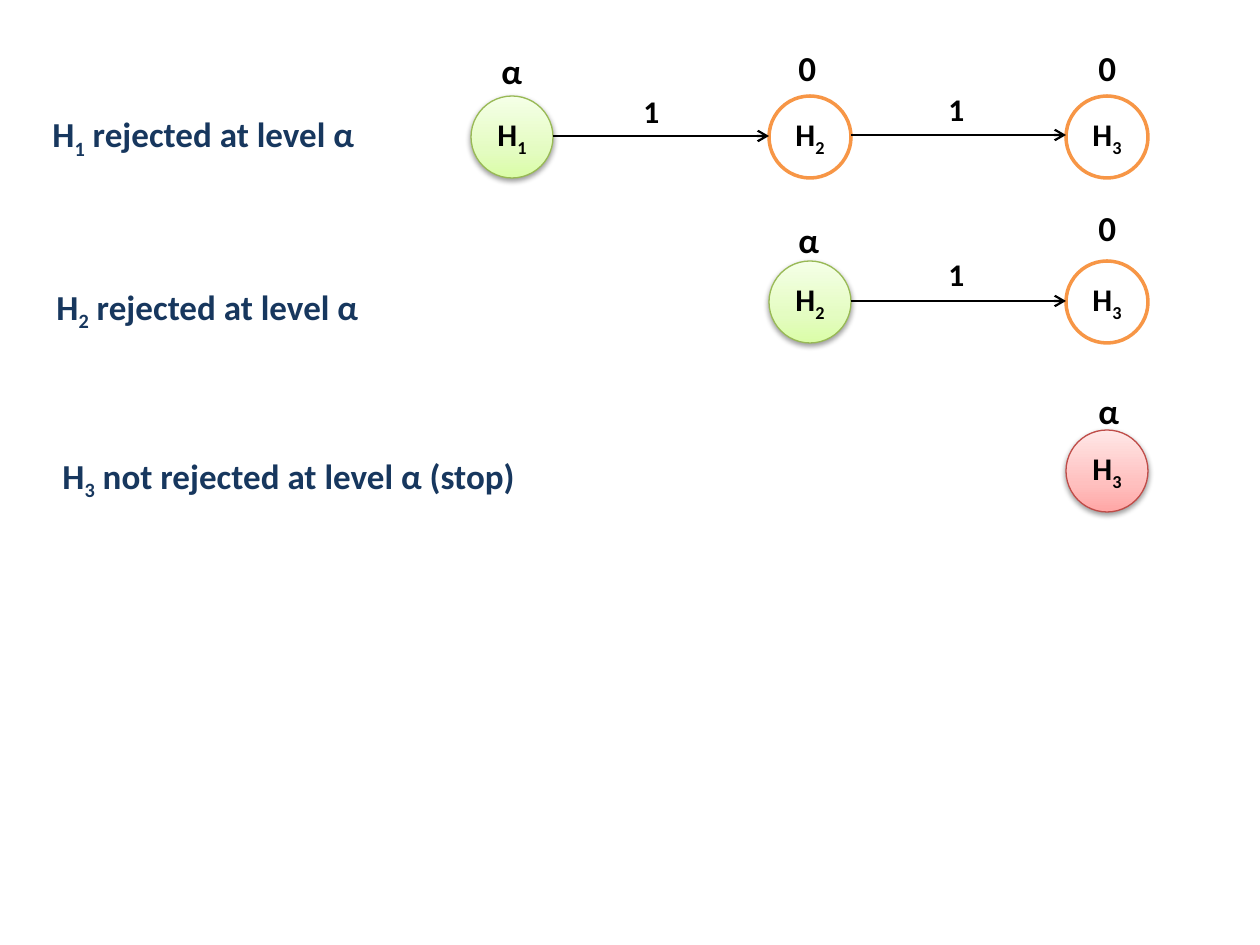
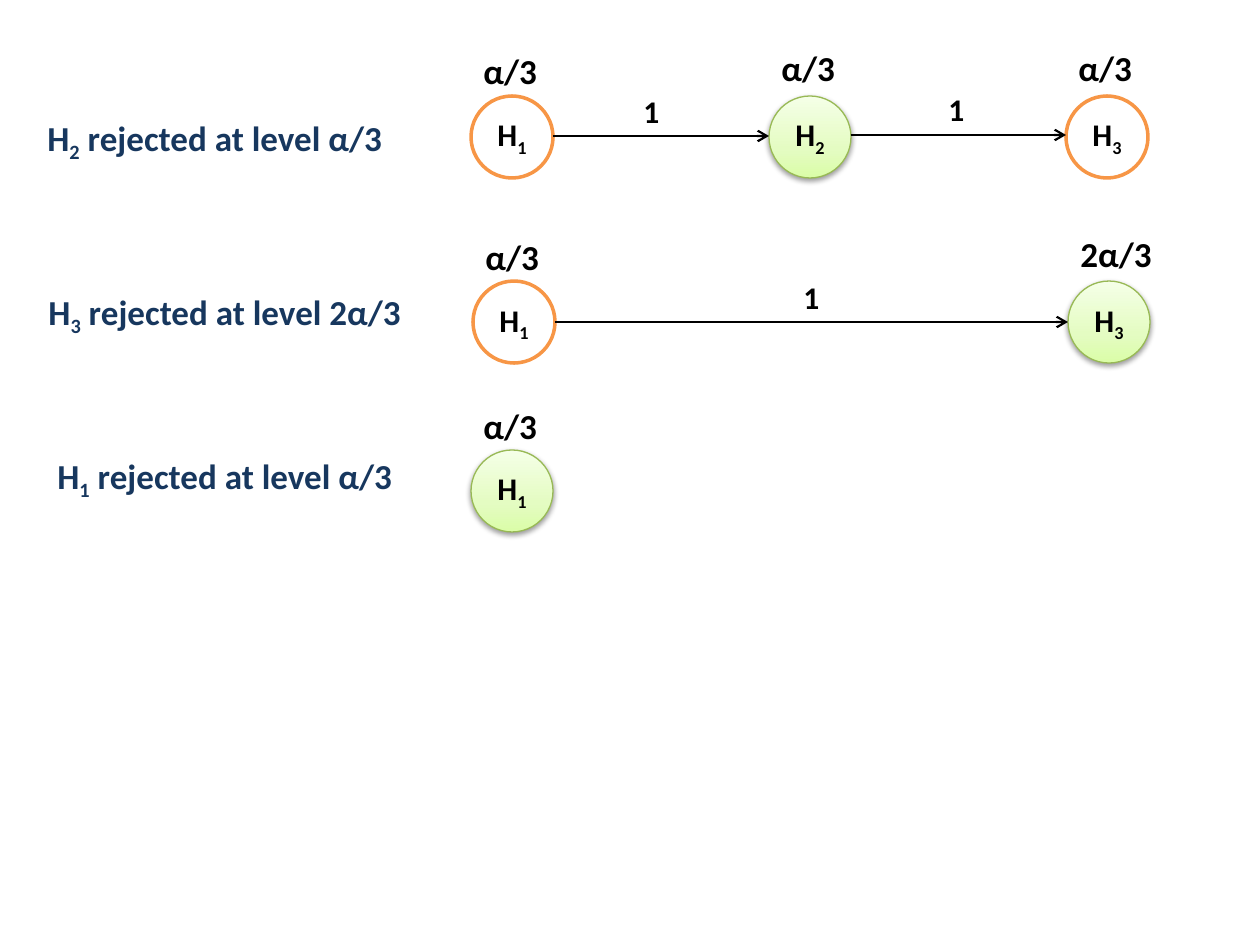
from copy import deepcopy

from lxml.etree import SubElement
from pptx import Presentation
from pptx.dml.color import RGBColor
from pptx.enum.shapes import MSO_CONNECTOR, MSO_SHAPE
from pptx.enum.text import MSO_ANCHOR, MSO_AUTO_SIZE, PP_ALIGN
from pptx.oxml.ns import qn
from pptx.util import Pt

PX = 914400 / 126
COLORS = {"ink": "000000", "statement": "17375E", "paper": "FFFFFF", "open": "F79646",
          "rejected": "98B955", "retained": "BF4C48"}
GRADIENTS = {"rejected": ["DAFDA7", "E4FCC2", "F5FFE7"],
             "retained": ["FFA6A5", "FFC0BF", "FFE7E7"]}
GRADIENT_STOPS = [0, 0.35, 1]
FONT = "Calibri"
NODE = 82
NODE_LEFT = {1: 471, 2: 769, 3: 1066}
LEVEL_WIDTH = {"α": 47, "0": 43, "α/3": 79, "2α/3": 97}
LABEL_HEIGHT = 55
WEIGHT_SIZE = (42, 50)

# One step per row: node top, sideways shift, statement (H index, wording, left, top, width),
# nodes (H index, state, level, level left, level top),
# transitions (from H, to H, arrow y, weight left, weight top)
SLIDES = [
    [
        (96, 0, (1, " rejected at level α", 40, 106, 331),
         [(1, "rejected", "α", 489, 43), (2, "open", "0", 786, 40), (3, "open", "0", 1086, 40)],
         [(1, 2, 136, 631, 86), (2, 3, 135, 936, 84)]),
        (261, 0, (2, " rejected at level α", 44, 279, 331),
         [(2, "rejected", "α", 786, 212), (3, "open", "0", 1086, 200)],
         [(2, 3, 301, 936, 249)]),
        (430, 0, (3, " not rejected at level α (stop)", 50, 448, 483),
         [(3, "retained", "α", 1086, 383)], []),
    ],
    [
        (96, 0, (2, " rejected at level α/3", 35, 110, 364),
         [(1, "open", "α/3", 471, 43), (2, "rejected", "α/3", 769, 40),
          (3, "open", "α/3", 1066, 40)],
         [(1, 2, 136, 631, 86), (2, 3, 135, 936, 84)]),
        (281, 2, (3, " rejected at level 2α/3", 36, 284, 383),
         [(1, "open", "α/3", 473, 229), (3, "rejected", "2α/3", 1068, 226)],
         [(1, 3, 322, 791, 272)]),
        (450, 0, (1, " rejected at level α/3", 45, 448, 376),
         [(1, "rejected", "α/3", 471, 398)], []),
    ],
]


def px(*lengths):
    """Turn pixel lengths into EMU."""
    return [round(length * PX) for length in lengths]


def write(shape, parts, size, color="ink", centred=False):
    """Write bold parts on one line, the second part as a subscript."""
    frame = shape.text_frame
    frame.word_wrap = False
    frame.auto_size = MSO_AUTO_SIZE.NONE if centred else MSO_AUTO_SIZE.SHAPE_TO_FIT_TEXT
    frame.vertical_anchor = MSO_ANCHOR.MIDDLE if centred else MSO_ANCHOR.TOP
    line = frame.paragraphs[0]
    line.alignment = PP_ALIGN.CENTER if centred else PP_ALIGN.LEFT
    for part in parts:
        run = line.add_run()
        run.text = part
        run.font.name = FONT
        run.font.size = Pt(size)
        run.font.bold = True
        run.font.color.rgb = RGBColor.from_string(COLORS[color])
    if len(parts) > 1:
        list(shape.element.iter(qn("a:rPr")))[1].set("baseline", "-25000")


deck = Presentation()
deck.slide_width, deck.slide_height = px(1260, 945)

for steps in SLIDES:
    slide = deck.slides.add_slide(deck.slide_layouts[6])
    shapes = slide.shapes
    for top, shift, statement, nodes, transitions in steps:
        index, wording, left, statement_top, width = statement
        sentence = shapes.add_shape(MSO_SHAPE.RECTANGLE,
                                    *px(left, statement_top, width, LABEL_HEIGHT))
        sentence.shadow.inherit = False
        sentence.fill.solid()
        sentence.fill.fore_color.rgb = RGBColor.from_string(COLORS["paper"])
        sentence.line.fill.background()
        write(sentence, ["H", str(index), wording], 20, "statement")

        for index, state, level, level_left, level_top in nodes:
            node = shapes.add_shape(MSO_SHAPE.OVAL,
                                    *px(NODE_LEFT[index] + shift, top, NODE, NODE))
            node.shadow.inherit = False
            node.line.color.rgb = RGBColor.from_string(COLORS[state])
            node.line.width = Pt(2 if state == "open" else 0.75)
            if state == "open":
                node.fill.solid()
                node.fill.fore_color.rgb = RGBColor.from_string(COLORS["paper"])
            else:
                node.fill.gradient()
                node.fill.gradient_angle = 90
                stop_list = next(node.element.iter(qn("a:gsLst")))
                stop_list.insert(1, deepcopy(stop_list[0]))
                for stop, position, tint in zip(node.fill.gradient_stops, GRADIENT_STOPS,
                                                GRADIENTS[state]):
                    stop.position = position
                    stop.color.rgb = RGBColor.from_string(tint)
                effects = node.element.spPr.find(qn("a:effectLst"))
                shadow = SubElement(effects, qn("a:outerShdw"), blurRad="40000", dist="20000",
                                    dir="5400000", rotWithShape="0")
                shade = SubElement(shadow, qn("a:srgbClr"), val=COLORS["ink"])
                SubElement(shade, qn("a:alpha"), val="38000")
            write(node, ["H", str(index)], 18, centred=True)

            level_label = shapes.add_textbox(
                *px(level_left, level_top, LEVEL_WIDTH[level], LABEL_HEIGHT))
            write(level_label, [level], 20)

        for source, target, y, weight_left, weight_top in transitions:
            arrow = shapes.add_connector(
                MSO_CONNECTOR.STRAIGHT,
                *px(NODE_LEFT[source] + shift + NODE, y, NODE_LEFT[target] + shift, y))
            arrow.line.color.rgb = RGBColor.from_string(COLORS["ink"])
            arrow.line.width = Pt(1.25)
            arrow_format = arrow.element.spPr
            SubElement(arrow_format.find(qn("a:ln")), qn("a:tailEnd"), type="arrow")
            SubElement(arrow_format, qn("a:effectLst"))

            weight = shapes.add_textbox(*px(weight_left, weight_top, *WEIGHT_SIZE))
            write(weight, ["1"], 18)

deck.save("out.pptx")
